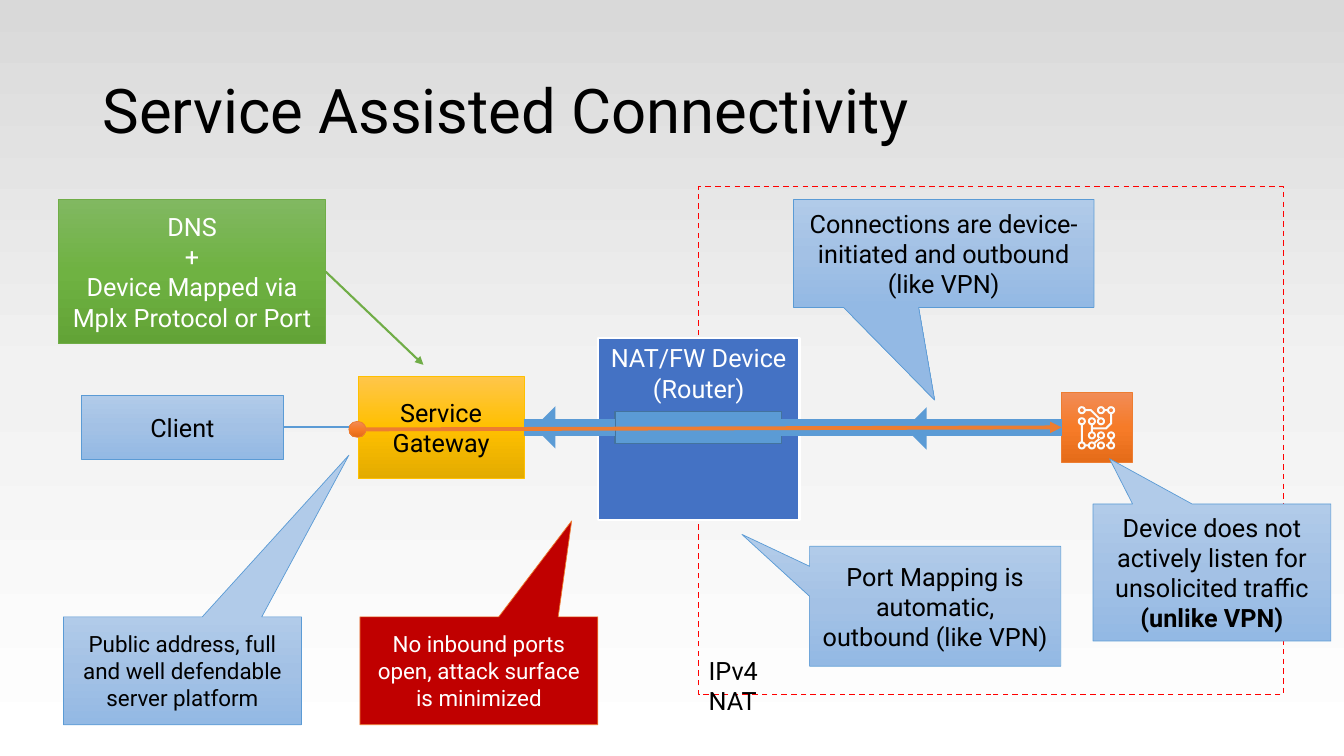
from math import cos, hypot, pi, sin

from lxml import etree
from pptx import Presentation
from pptx.dml.color import RGBColor
from pptx.enum.dml import MSO_LINE
from pptx.enum.shapes import MSO_CONNECTOR, MSO_SHAPE
from pptx.enum.text import MSO_ANCHOR, PP_ALIGN
from pptx.oxml.ns import qn
from pptx.util import Inches, Pt

RECT, CALL = MSO_SHAPE.RECTANGLE, MSO_SHAPE.RECTANGULAR_CALLOUT
ARROW, OVAL = MSO_SHAPE.LEFT_ARROW, MSO_SHAPE.OVAL
STRAIGHT, DASH = MSO_CONNECTOR.STRAIGHT, MSO_LINE.DASH
TOP, MID = MSO_ANCHOR.TOP, MSO_ANCHOR.MIDDLE
LEFT, MIDDLE = PP_ALIGN.LEFT, PP_ALIGN.CENTER

BLACK = RGBColor(0, 0, 0)
WHITE = RGBColor(255, 255, 255)
TRACE = RGBColor(0xFB, 0xFB, 0xFB)
RED = RGBColor(255, 0, 0)
MAROON = RGBColor(0xC0, 0, 0)
NAVY = RGBColor(0x44, 0x72, 0xC4)
BLUE = RGBColor(0x5B, 0x9B, 0xD5)
STEEL = RGBColor(0x43, 0x73, 0x9E)
GREEN = RGBColor(0x70, 0xAD, 0x47)
GOLD = RGBColor(0xFF, 0xC0, 0)
ORANGE = RGBColor(0xED, 0x7D, 0x31)

GREY_FADE = ("D9D9D9", "F2F2F2", "FFFFFF")
BLUE_FADE = ("B1CBE9", "A3C1E5", "93B9E4")
GREEN_FADE = ("81B861", "6FB242", "62A336")
GOLD_FADE = ("FFC64B", "FFC000", "E3AB00")
ORANGE_FADE = ("F18C57", "F67B28", "E56C19")

TITLE = "Service Assisted Connectivity"
ZONE = "IPv4 NAT"
HEADS = [(5.3, 4.03, 0.46, 0.42), (8.98, 4.04, 0.46, 0.42)]

BOXES = {
    "chip": dict(at=(10.53, 3.89, 0.7, 0.7), fill=ORANGE_FADE, line=ORANGE),
    "outbound": dict(
        at=(7.87, 1.98, 2.98, 1.07), tip=(-0.03, 1.36),
        text="Connections are device-initiated and outbound (like VPN)"),
    "zone": dict(at=(6.93, 1.85, 5.8, 5.04), fill=None, line=RED, width=1, dash=DASH),
    "router": dict(at=(5.93, 3.35, 2, 1.81), fill=NAVY, line=WHITE, width=1.5,
                   text="NAT/FW Device (Router)", color=WHITE, anchor=TOP),
    "gateway": dict(at=(3.55, 3.73, 1.65, 1.02), fill=GOLD_FADE, line=GOLD,
                    text="Service Gateway"),
    "client": dict(at=(0.81, 3.92, 2, 0.64), text="Client"),
    "dns": dict(at=(0.58, 1.98, 2.65, 1.43), fill=GREEN_FADE, line=GREEN, color=WHITE,
                text="DNS\v+\nDevice Mapped via Mplx Protocol or Port"),
    "port": dict(at=(6.1, 4.08, 1.65, 0.32), fill=BLUE, line=STEEL, width=1),
}
NOTES = [
    dict(at=(8.03, 5.42, 2.49, 1.19), tip=(-0.77, -0.6),
         text="Port Mapping is automatic, outbound (like VPN)"),
    dict(at=(10.84, 5, 2.36, 1.36), tip=(-0.43, -0.83),
         text="Device does not actively listen for unsolicited traffic ",
         strong="(unlike VPN)"),
    dict(at=(3.57, 6.12, 2.36, 1.07), tip=(0.39, -1.39), fill=MAROON, line=ORANGE,
         text="No inbound ports open, attack surface is minimized",
         color=WHITE, size=16),
    dict(at=(0.63, 6.12, 2.36, 1.07), tip=(0.7, -2), size=16,
         text="Public address, full and well defendable server platform"),
]

COLS = (10.73, 10.83, 10.92, 11.02)
NODES = [(4.07, (0, 2, 3)), (4.18, (0, 1, 2)), (4.32, (1, 2, 3)), (4.42, (0, 1, 2, 3))]
OUTER, INNER, HALF = 0.04, 0.02, 0.01
WIRES = [
    [(10.77, 4.07), (10.82, 4.07), (10.9, 4.15)],
    [(10.96, 4.07), (10.98, 4.07)],
    [(11.02, 4.11), (11.02, 4.2), (10.97, 4.25), (10.84, 4.25)],
    [(10.83, 4.22), (10.83, 4.28)],
    [(11.02, 4.36), (11.02, 4.38)],
    [(10.97, 4.42), (10.98, 4.42)],
    [(10.73, 4.22), (10.73, 4.38)],
    [(10.77, 4.42), (10.79, 4.42)],
    [(10.86, 4.39), (10.91, 4.35)],
]

deck = Presentation()
deck.slide_width, deck.slide_height = Inches(13.33), Inches(7.5)
slide = deck.slides.add_slide(deck.slide_layouts[6])
shapes = slide.shapes


def paint(fill, owner, color):
    if color is None:
        fill.background()
    elif isinstance(color, RGBColor):
        fill.solid()
        fill.fore_color.rgb = color
    else:
        fill.gradient()
        fill.gradient_angle = 270
        stops = next(owner.iter(qn("a:gsLst")))
        for stop in list(stops):
            stops.remove(stop)
        for i, tone in enumerate(color):
            stop = etree.SubElement(stops, qn("a:gs"), pos=str(i * 50000))
            etree.SubElement(stop, qn("a:srgbClr"), val=tone)


def write(frame, text, size=18, color=BLACK, align=MIDDLE, anchor=MID, strong="", space=None):
    frame.word_wrap = True
    frame.vertical_anchor = anchor
    for i, part in enumerate(text.split("\n")):
        para = frame.add_paragraph() if i else frame.paragraphs[0]
        para.text = part
        para.alignment = align
        if space:
            para.line_spacing = space
    if strong:
        para.add_run().text = strong
        para.runs[-1].font.bold = True
    for para in frame.paragraphs:
        for run in para.runs:
            run.font.name = "Roboto"
            run.font.size = Pt(size)
            run.font.color.rgb = color


def label(at, text, **style):
    write(shapes.add_textbox(*map(Inches, at)).text_frame, text, **style)


def box(at, kind=RECT, fill=BLUE_FADE, line=BLUE, width=0.5, dash=None, tip=None,
        text="", **style):
    shape = shapes.add_shape(CALL if tip else kind, *map(Inches, at))
    shape.shadow.inherit = False
    paint(shape.fill, shape._element, fill)
    paint(shape.line.fill, shape._element, line)
    if line:
        shape.line.width = Pt(width)
    if dash:
        shape.line.dash_style = dash
    for i, value in enumerate(tip or ()):
        shape.adjustments[i] = value
    if text:
        write(shape.text_frame, text, **style)
    return shape


def link(start, end, color, width, src=None, dst=None, head=False):
    wire = shapes.add_connector(STRAIGHT, *map(Inches, start + end))
    if src:
        wire.begin_connect(src, 3)
    if dst:
        wire.end_connect(dst, 1)
    wire.line.color.rgb = color
    wire.line.width = Pt(width)
    if head:
        etree.SubElement(wire.line._get_or_add_ln(), qn("a:tailEnd"), type="triangle")
    etree.SubElement(wire._element.spPr, qn("a:effectLst"))


def round_(x, y, size, turn):
    steps = [turn * i * pi / 8 for i in range(16)]
    return [(x + size * cos(a), y + size * sin(a)) for a in steps]


def band(points):
    norms = []
    for (x, y), (u, v) in zip(points, points[1:]):
        span = hypot(u - x, v - y)
        norms.append(((y - v) / span, (u - x) / span))
    near, far = [], []
    for (x, y), a, b in zip(points, norms[:1] + norms, norms + norms[-1:]):
        reach = HALF / (1 + a[0] * b[0] + a[1] * b[1])
        dx, dy = (a[0] + b[0]) * reach, (a[1] + b[1]) * reach
        near.append((x + dx, y + dy))
        far.append((x - dx, y - dy))
    return near + far[::-1]


def circuit():
    loops = [band(points) for points in WIRES]
    for y, spots in NODES:
        for i in spots:
            loops += [round_(COLS[i], y, OUTER, 1), round_(COLS[i], y, INNER, -1)]
    loops = [[(Inches(x), Inches(y)) for x, y in loop] for loop in loops]
    path = shapes.build_freeform(*loops[0][0], scale=1.0)
    for i, loop in enumerate(loops):
        if i:
            path.move_to(*loop[0])
        path.add_line_segments(loop[1:], close=True)
    icon = path.convert_to_shape()
    icon.shadow.inherit = False
    paint(icon.fill, icon._element, TRACE)
    icon.line.fill.background()


paint(slide.background.fill, slide.element, GREY_FADE)
for at in HEADS:
    box(at, ARROW, BLUE, None).adjustments[0] = 0.25
label((0.92, 0.4, 11.5, 1.45), TITLE, size=44, align=LEFT, space=0.9)

made = {}
for name, item in BOXES.items():
    made[name] = box(**item)
    if name == "chip":
        circuit()
label((6.93, 6.45, 1.11, 0.4), ZONE, align=LEFT, anchor=TOP)

link((3.23, 2.69), (4.2, 3.62), GREEN, 1.5, made["dns"], head=True)
link((2.81, 4.24), (3.55, 4.24), BLUE, 1.5, made["client"], made["gateway"])
link((5.2, 4.24), (6.1, 4.24), BLUE, 12, made["gateway"], made["port"])
link((7.75, 4.24), (10.53, 4.24), BLUE, 12, made["port"], made["chip"])
for note in NOTES:
    box(**note)
box((3.46, 4.18, 0.17, 0.16), OVAL, ORANGE_FADE, ORANGE)
link((3.63, 4.26), (10.53, 4.24), ORANGE, 2.75, dst=made["chip"], head=True)

deck.save("out.pptx")
